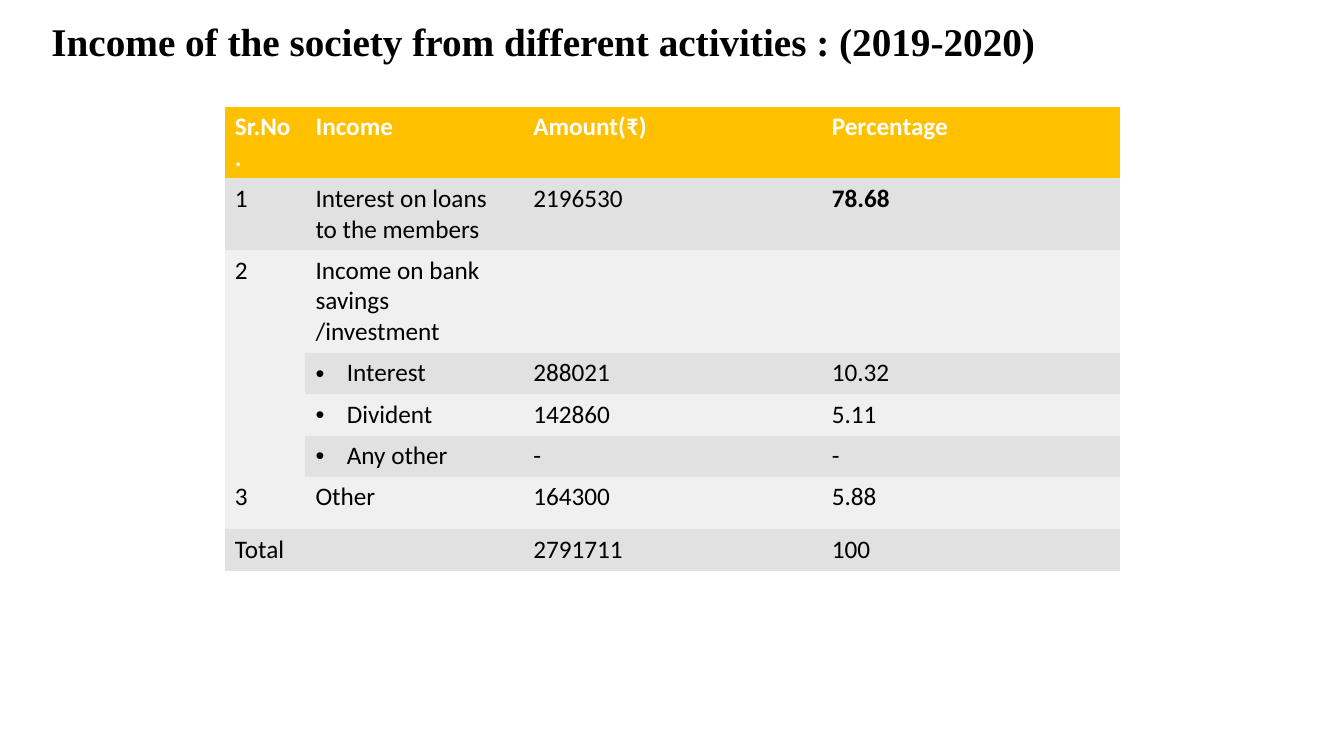
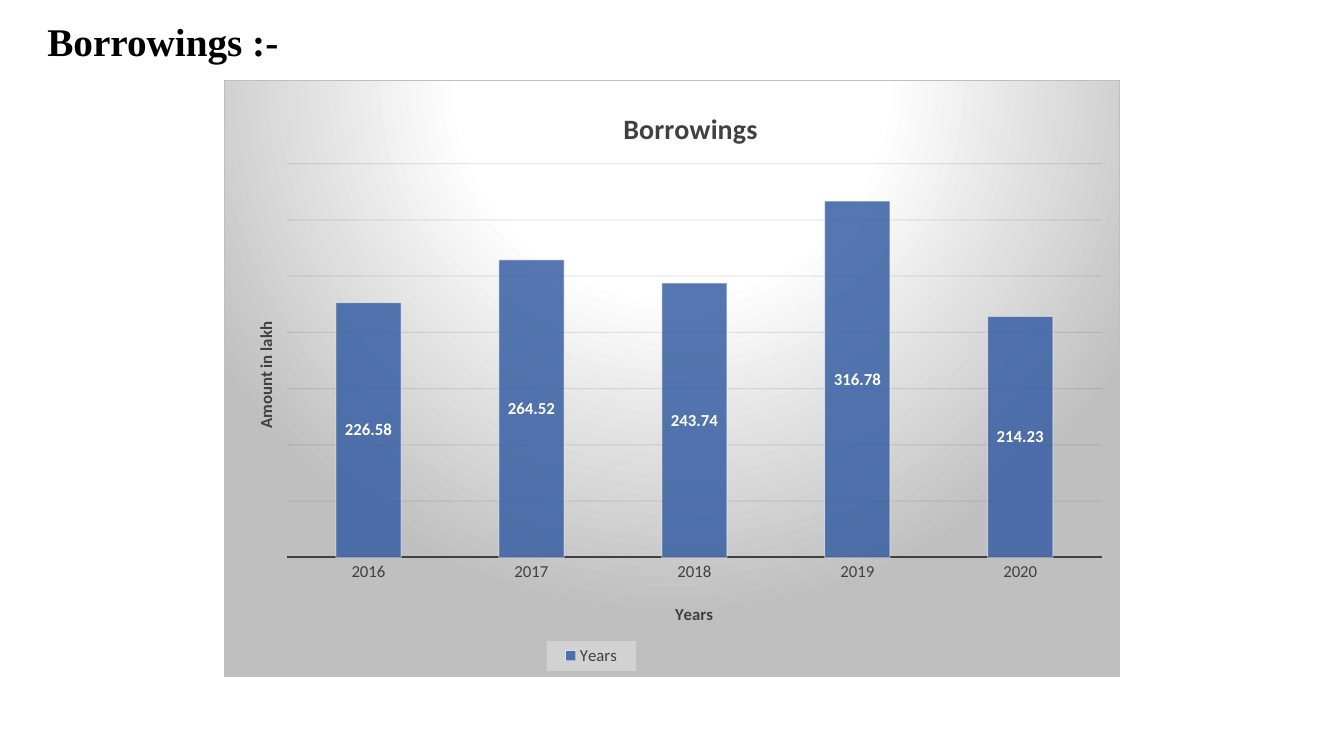
from dataclasses import dataclass

from lxml import etree
from pptx import Presentation
from pptx.chart.data import CategoryChartData
from pptx.dml.color import RGBColor
from pptx.enum.chart import XL_CHART_TYPE, XL_LABEL_POSITION, XL_LEGEND_POSITION, XL_TICK_MARK
from pptx.enum.text import MSO_ANCHOR, MSO_AUTO_SIZE, PP_ALIGN
from pptx.oxml import parse_xml
from pptx.oxml.ns import nsdecls, qn
from pptx.util import Inches, Pt

STACKED = XL_CHART_TYPE.COLUMN_STACKED
CENTER = XL_LABEL_POSITION.CENTER
BOTTOM = XL_LEGEND_POSITION.BOTTOM
NO_TICK = XL_TICK_MARK.NONE
TOP = MSO_ANCHOR.TOP
NO_FIT = MSO_AUTO_SIZE.NONE
LEFT = PP_ALIGN.LEFT
TITLE_ONLY = 5
PLAIN_TABLE = "{2D5ABB26-0587-4C30-8999-92F81FD0307C}"
BULLET = "•"


@dataclass(frozen=True)
class Theme:
    title_font: str = "Times New Roman"
    body_font: str = "Calibri"
    title_size: int = 28
    cell_size: int = 18
    chart_title_size: int = 20
    chart_size: int = 12
    black: str = "000000"
    white: str = "FFFFFF"
    header: str = "FFC000"
    bands: tuple = ("E1E1E1", "F0F0F0")
    chart_text: str = "404040"
    grid: str = "0D0D0D"
    edge: str = "BFBFBF"
    legend: str = "F2F2F2"
    series: tuple = ("385FA3", "4472C4", "A8B5DB")


def set_font(font, name, size, color, bold=False):
    font.name = name
    font.size = Pt(size)
    font.bold = bold
    font.color.rgb = RGBColor.from_string(color)


def set_line(line, color, width):
    line.color.rgb = RGBColor.from_string(color)
    line.width = Pt(width)


def set_alpha(element, route, percent):
    color = element.find("/".join(qn(tag) for tag in route.split("/")))
    etree.SubElement(color, qn("a:alpha"), val=str(percent * 1000))


def set_layout(element, previous, **position):
    old = element.find(qn("c:layout"))
    if old is not None:
        element.remove(old)
    layout = etree.Element(qn("c:layout"))
    manual = etree.SubElement(layout, qn("c:manualLayout"))
    if previous is None:
        etree.SubElement(manual, qn("c:layoutTarget"), val="inner")
        element.insert(0, layout)
    else:
        element.find(qn(previous)).addnext(layout)
    for mode in ("xMode", "yMode"):
        etree.SubElement(manual, qn("c:" + mode), val="edge")
    for key, value in position.items():
        etree.SubElement(manual, qn("c:" + key), val=str(value))


class Deck:
    def __init__(self, theme):
        self.theme = theme
        self.deck = Presentation()
        self.deck.slide_width = Inches(13.33)
        self.deck.slide_height = Inches(7.5)
        self.page = None

    def add_page(self, title, left):
        theme = self.theme
        self.page = self.deck.slides.add_slide(self.deck.slide_layouts[TITLE_ONLY])
        box = self.page.shapes.title
        box.left, box.top = Inches(left), Inches(0.17)
        box.width, box.height = Inches(12), Inches(0.6)
        frame = box.text_frame
        frame.text = title
        frame.auto_size = NO_FIT
        frame.vertical_anchor = TOP
        para = frame.paragraphs[0]
        para.alignment = LEFT
        para.line_spacing = 0.9
        set_font(para.runs[0].font, theme.title_font, theme.title_size, theme.black, True)

    def fill_cell(self, cell, text, fill, color, bold):
        theme = self.theme
        cell.fill.solid()
        cell.fill.fore_color.rgb = RGBColor.from_string(fill)
        cell.text = text.removeprefix(BULLET)
        para = cell.text_frame.paragraphs[0]
        if text.startswith(BULLET):
            properties = para._p.get_or_add_pPr()
            properties.set("marL", str(Inches(0.31)))
            properties.set("indent", str(-Inches(0.31)))
            etree.SubElement(properties, qn("a:buFont"), typeface="Arial")
            etree.SubElement(properties, qn("a:buChar"), char=BULLET)
        for span in para.runs:
            set_font(span.font, theme.body_font, theme.cell_size, color, bold)

    def add_table(self, rows, place, widths, heights, merges, bold_cells):
        theme = self.theme
        frame = self.page.shapes.add_table(
            len(rows), len(widths), *map(Inches, place), Inches(sum(widths)), Inches(sum(heights)))
        table = frame.table
        table._tbl.tblPr.find(qn("a:tableStyleId")).text = PLAIN_TABLE
        for column, width in zip(table.columns, widths):
            column.width = Inches(width)
        for row, height in zip(table.rows, heights):
            row.height = Inches(height)
        for r, texts in enumerate(rows):
            fill = theme.bands[(r - 1) % 2] if r else theme.header
            color = theme.black if r else theme.white
            for c, text in enumerate(texts):
                self.fill_cell(table.cell(r, c), text, fill, color, r == 0 or (r, c) in bold_cells)
        for first, last in merges:
            table.cell(*first).merge(table.cell(*last))

    def title_chart_part(self, holder, text, size, x, y):
        frame = holder.text_frame
        frame.text = text
        set_font(frame.paragraphs[0].runs[0].font, self.theme.body_font, size,
                 self.theme.chart_text, True)
        set_layout(holder.element, "c:tx", x=x, y=y)

    def add_column_chart(self, place, categories, series, title, x_title, y_title, top, step):
        theme = self.theme
        data = CategoryChartData()
        data.categories = categories
        for name, values in series:
            data.add_series(name, values)
        chart = self.page.shapes.add_chart(STACKED, *map(Inches, place), data).chart
        set_font(chart.font, theme.body_font, theme.chart_size, theme.chart_text)
        chart.has_title = True
        self.title_chart_part(chart.chart_title, title, theme.chart_title_size, 0.44, 0.04)
        self.style_axes(chart, x_title, y_title, top, step)
        self.style_series(chart.plots[0])
        self.style_legend(chart, len(series))
        self.style_background(chart)
        set_layout(chart.element.find(".//" + qn("c:plotArea")), None,
                   x=0.07, y=0.14, w=0.91, h=0.66)

    def style_axes(self, chart, x_title, y_title, top, step):
        theme = self.theme
        years, amounts = chart.category_axis, chart.value_axis
        years.major_tick_mark = NO_TICK
        set_line(years.format.line, theme.chart_text, 1.5)
        set_font(years.tick_labels.font, theme.body_font, theme.chart_size, theme.chart_text)
        self.title_chart_part(years.axis_title, x_title, theme.chart_size, 0.5, 0.87)
        amounts.visible = False
        amounts.minimum_scale, amounts.maximum_scale = 0, top
        amounts.major_unit = step
        amounts.has_major_gridlines = True
        set_line(amounts.major_gridlines.format.line, theme.grid, 0.75)
        set_alpha(chart.element.find(".//" + qn("c:majorGridlines")),
                  "c:spPr/a:ln/a:solidFill/a:srgbClr", 10)
        self.title_chart_part(amounts.axis_title, y_title, theme.chart_size, 0.03, 0.4)

    def style_series(self, plot):
        theme = self.theme
        plot.gap_width, plot.overlap = 150, 100
        plot.vary_by_categories = False
        for series, color in zip(plot.series, theme.series):
            series.format.fill.solid()
            series.format.fill.fore_color.rgb = RGBColor.from_string(color)
            set_line(series.format.line, theme.white, 0.75)
            set_alpha(series._element, "c:spPr/a:solidFill/a:srgbClr", 85)
            set_alpha(series._element, "c:spPr/a:ln/a:solidFill/a:srgbClr", 50)
            labels = series.data_labels
            labels.show_value = True
            labels.position = CENTER
            set_font(labels.font, theme.body_font, theme.chart_size, theme.white, True)

    def style_legend(self, chart, count):
        theme = self.theme
        chart.has_legend = True
        chart.legend.position = BOTTOM
        chart.legend.include_in_layout = False
        set_font(chart.legend.font, theme.body_font, theme.chart_size, theme.chart_text)
        legend = chart.element.find(".//" + qn("c:legend"))
        set_layout(legend, "c:legendPos", x=0.36, y=0.94, w=0.1, h=0.05)
        for index in reversed(range(1, count)):
            legend.find(qn("c:legendPos")).addnext(parse_xml(
                f'<c:legendEntry {nsdecls("c")}><c:idx val="{index}"/>'
                '<c:delete val="1"/></c:legendEntry>'))
        legend.find(qn("c:overlay")).addnext(parse_xml(
            f'<c:spPr {nsdecls("c", "a")}><a:solidFill><a:srgbClr val="{theme.legend}">'
            '<a:alpha val="39000"/></a:srgbClr></a:solidFill></c:spPr>'))

    def style_background(self, chart):
        theme = self.theme
        stops = "".join(
            f'<a:gs pos="{percent * 1000}"><a:srgbClr val="{color}"/></a:gs>'
            for percent, color in ((0, theme.white), (39, theme.white), (100, theme.edge)))
        chart.element.find(qn("c:chart")).addnext(parse_xml(
            f'<c:spPr {nsdecls("c", "a")}><a:gradFill><a:gsLst>{stops}</a:gsLst>'
            '<a:path path="circle"><a:fillToRect l="50000" t="-80000" r="50000" b="180000"/>'
            f'</a:path></a:gradFill><a:ln w="{Pt(0.75)}"><a:solidFill>'
            f'<a:srgbClr val="{theme.edge}"/></a:solidFill></a:ln></c:spPr>'))


def main():
    show = Deck(Theme())

    show.add_page("Income of the society from different activities : (2019-2020)", 0.41)
    income_rows = [
        ("Sr.No.", "Income", "Amount(₹)", "Percentage"),
        ("1", "Interest on loans to the members", "2196530", "78.68"),
        ("2", "Income on bank savings /investment", "", ""),
        ("", "•Interest", "288021", "10.32"),
        ("", "•Divident", "142860", "5.11"),
        ("", "•Any other", "-", "-"),
        ("3", "Other", "164300", "5.88"),
        ("Total", "", "2791711", "100"),
    ]
    show.add_table(
        income_rows, (2.23, 1.06),
        widths=(0.8, 2.16, 2.96, 2.96),
        heights=(0.71, 0.71, 1.02, 0.41, 0.41, 0.41, 0.52, 0.41),
        merges=[((2, 0), (5, 0)), ((7, 0), (7, 1))],
        bold_cells={(1, 3)})

    show.add_page("Borrowings :-", 0.37)
    years = ["2016", "2017", "2018", "2019", "2020"]
    blank = [None] * len(years)
    show.add_column_chart(
        (2.22, 0.79, 8.89, 5.93), years,
        [("Years", [226.58, 264.52, 243.74, 316.78, 214.23]),
         ("Column1", blank), ("Column2", blank)],
        "Borrowings", "Years", "Amount in lakh", top=350, step=50)

    show.deck.save("out.pptx")


if __name__ == "__main__":
    main()
